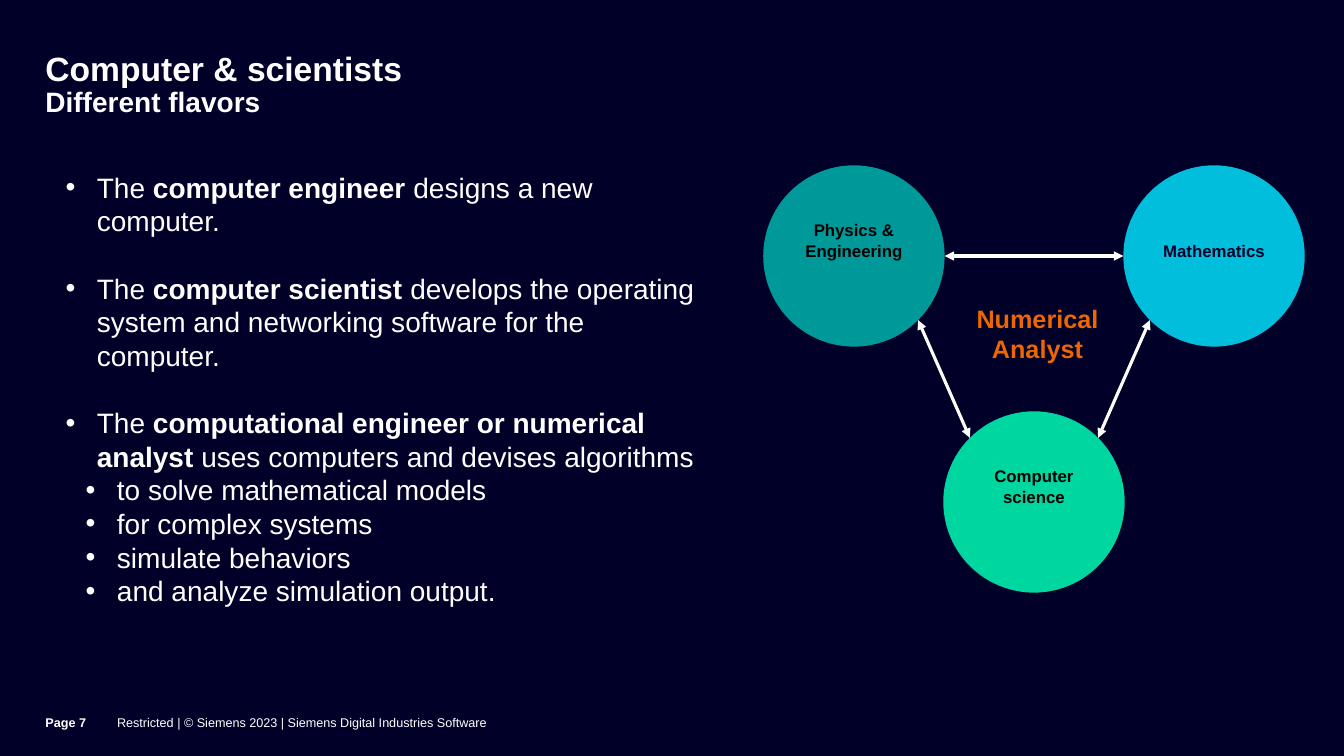
import math
from dataclasses import dataclass

import pptx
import pptx.util
import pptx.dml.color
import pptx.enum.shapes
import pptx.enum.text
import pptx.oxml.ns
from lxml import etree

Pt = pptx.util.Pt
Inches = pptx.util.Inches
RGBColor = pptx.dml.color.RGBColor
Align = pptx.enum.text.PP_ALIGN
Anchor = pptx.enum.text.MSO_ANCHOR
qn = pptx.oxml.ns.qn

NAVY = RGBColor(0x00, 0x00, 0x28)
WHITE = RGBColor(0xFF, 0xFF, 0xFF)
BLACK = RGBColor(0x00, 0x00, 0x00)
TEAL = RGBColor(0x00, 0x99, 0x99)
CYAN = RGBColor(0x00, 0xBE, 0xDC)
GREEN = RGBColor(0x00, 0xD7, 0xA0)
ORANGE = RGBColor(0xEC, 0x66, 0x02)

ROLES = [
    (0, [("The ", False), ("computer engineer ", True), ("designs a new computer.", False)]),
    (0, [("The ", False), ("computer scientist ", True),
         ("develops the operating system and networking software for the computer.", False)]),
    (0, [("The", False), (" computational engineer or numerical analyst", True),
         (" uses computers and devises algorithms", False)]),
    (1, [("to solve mathematical models", False)]),
    (1, [("for complex systems", False)]),
    (1, [("simulate behaviors", False)]),
    (1, [("and analyze simulation output.", False)]),
]


@dataclass
class Box:
    left: int
    top: int
    width: int
    height: int

    def share(self, x, y, w, h):
        return Box(int(self.left + self.width * x / 100), int(self.top + self.height * y / 100),
                   int(self.width * w / 100), int(self.height * h / 100))

    def frame(self):
        return self.left, self.top, self.width, self.height


def move(placeholder, box):
    placeholder.left, placeholder.top, placeholder.width, placeholder.height = box.frame()


def set_frame(text_frame, anchor, insets=(0.1, 0.05, 0.1, 0.05)):
    text_frame.word_wrap = True
    text_frame.auto_size = pptx.enum.text.MSO_AUTO_SIZE.NONE
    text_frame.vertical_anchor = anchor
    (text_frame.margin_left, text_frame.margin_top,
     text_frame.margin_right, text_frame.margin_bottom) = map(Inches, insets)


def add_run(paragraph, text, size, color=WHITE, bold=False):
    run = paragraph.add_run()
    run.text = text
    run.font.name = "Arial"
    run.font.size = Pt(size)
    run.font.bold = bold
    run.font.color.rgb = color


def add_bullet(paragraph, indent):
    properties = paragraph._p.get_or_add_pPr()
    properties.set("marL", str(Inches(indent)))
    properties.set("indent", str(-Inches(0.31)))
    color = etree.SubElement(properties, qn("a:buClr"))
    etree.SubElement(color, qn("a:srgbClr")).set("val", str(WHITE))
    etree.SubElement(properties, qn("a:buFont")).set("typeface", "Arial")
    etree.SubElement(properties, qn("a:buChar")).set("char", "•")


def add_heading(slide, box):
    heading = slide.shapes.title
    move(heading, box)
    set_frame(heading.text_frame, Anchor.TOP, (0, 0, 0.35, 0.02))
    paragraph = heading.text_frame.paragraphs[0]
    paragraph.alignment = Align.LEFT
    paragraph.line_spacing = 0.9
    add_run(paragraph, "Computer & scientists", 24, bold=True)
    paragraph.add_line_break()
    add_run(paragraph, "Different flavors", 20, bold=True)


def add_roles(slide, box):
    roles = slide.placeholders[1]
    move(roles, box)
    set_frame(roles.text_frame, Anchor.TOP)
    for number, (level, runs) in enumerate(ROLES):
        paragraph = roles.text_frame.paragraphs[0] if number == 0 else roles.text_frame.add_paragraph()
        paragraph.level = level
        add_bullet(paragraph, 0.31 + 0.2 * level)
        paragraph.alignment = Align.LEFT
        paragraph.space_before = Pt(24 if number and level == 0 else 0)
        for text, bold in runs:
            add_run(paragraph, text, 20, bold=bold)


def add_field(slide, box, lines, top_inset, color, fill):
    field = slide.shapes.add_shape(pptx.enum.shapes.MSO_SHAPE.OVAL, *box.frame())
    field.shadow.inherit = False
    field.fill.solid()
    field.fill.fore_color.rgb = fill
    field.line.fill.background()
    set_frame(field.text_frame, Anchor.TOP, (0.12, top_inset, 0.12, 0.08))
    for number, line in enumerate(lines):
        paragraph = field.text_frame.paragraphs[0] if number == 0 else field.text_frame.add_paragraph()
        paragraph.alignment = Align.CENTER
        add_run(paragraph, line, 12, color, True)


def rim_point(box, degrees):
    angle = math.radians(degrees)
    radius = box.width / 2
    return (int(box.left + radius * (1 + math.cos(angle))),
            int(box.top + radius * (1 + math.sin(angle))))


def add_arrow(slide, start, end):
    arrow = slide.shapes.add_connector(pptx.enum.shapes.MSO_CONNECTOR.STRAIGHT, *start, *end)
    arrow.line.color.rgb = WHITE
    arrow.line.width = Pt(2.25)
    line = arrow.line._get_or_add_ln()
    for tag in ("a:headEnd", "a:tailEnd"):
        etree.SubElement(line, qn(tag)).set("type", "triangle")
    etree.SubElement(arrow._element.spPr, qn("a:effectLst"))


def add_text(slide, box, text, size, color=WHITE, bold=False, align=Align.LEFT,
             anchor=Anchor.TOP, insets=(0.1, 0.05, 0.1, 0.05)):
    label = slide.shapes.add_textbox(*box.frame())
    set_frame(label.text_frame, anchor, insets)
    paragraph = label.text_frame.paragraphs[0]
    paragraph.alignment = align
    add_run(paragraph, text, size, color, bold)


def add_triangle(slide, box):
    diameter = int(box.width * 0.335)
    right = box.left + box.width - diameter
    physics = Box(box.left, box.top, diameter, diameter)
    mathematics = Box(right, box.top, diameter, diameter)
    computing = Box((box.left + right) // 2, box.top + box.height - diameter, diameter, diameter)

    add_field(slide, physics, ["Physics &", "Engineering"], 0.28, BLACK, TEAL)
    add_field(slide, mathematics, ["Mathematics"], 0.48, NAVY, CYAN)
    add_field(slide, computing, ["Computer science"], 0.28, BLACK, GREEN)

    add_arrow(slide, rim_point(physics, 0), rim_point(mathematics, 180))
    add_arrow(slide, rim_point(physics, 45), rim_point(computing, 225))
    add_arrow(slide, rim_point(mathematics, 135), rim_point(computing, 315))
    add_text(slide, box.share(34.8, 31.1, 31.7, 16.7), "Numerical Analyst", 18,
             ORANGE, True, Align.CENTER)


def add_footer(slide, box):
    style = {"anchor": Anchor.MIDDLE, "insets": (0, 0, 0, 0.07)}
    add_text(slide, box.share(0, 0, 6.58, 100), "Page 7", 9, bold=True, **style)
    add_text(slide, box.share(6.58, 0, 93.42, 100),
             "Restricted | © Siemens 2023 | Siemens Digital Industries Software", 9, **style)


def main():
    deck = pptx.Presentation()
    deck.slide_width, deck.slide_height = Inches(13.33), Inches(7.5)
    page = Box(0, 0, deck.slide_width, deck.slide_height)
    slide = deck.slides.add_slide(deck.slide_layouts[1])
    slide.background.fill.solid()
    slide.background.fill.fore_color.rgb = NAVY
    add_heading(slide, page.share(3.38, 6.93, 80.95, 8.4))
    add_roles(slide, page.share(4.13, 21.87, 48.39, 63.73))
    add_triangle(slide, page.share(56.79, 21.87, 40.29, 56.53))
    add_footer(slide, page.share(3.38, 92, 80.95, 8))
    deck.save("out.pptx")


if __name__ == "__main__":
    main()
